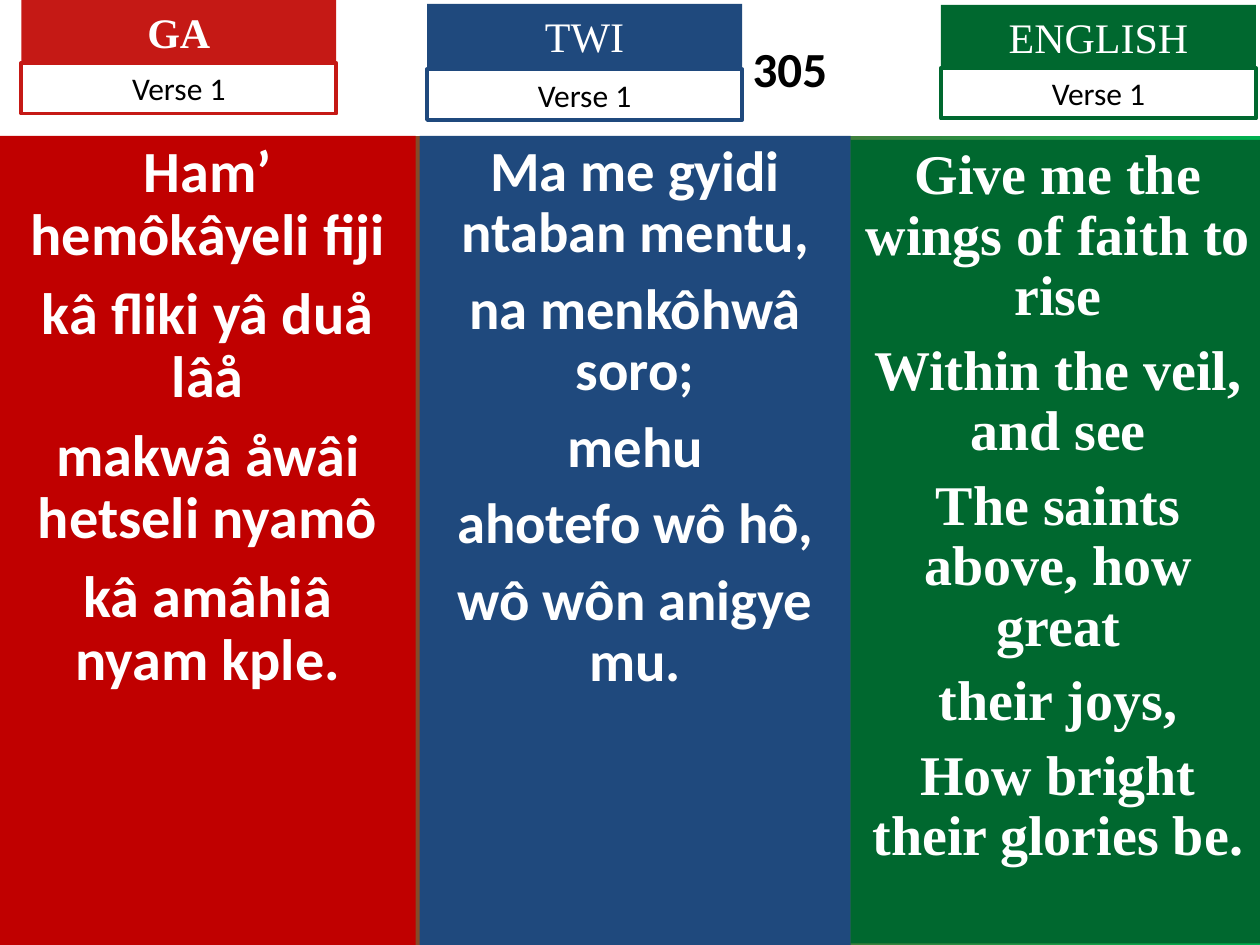
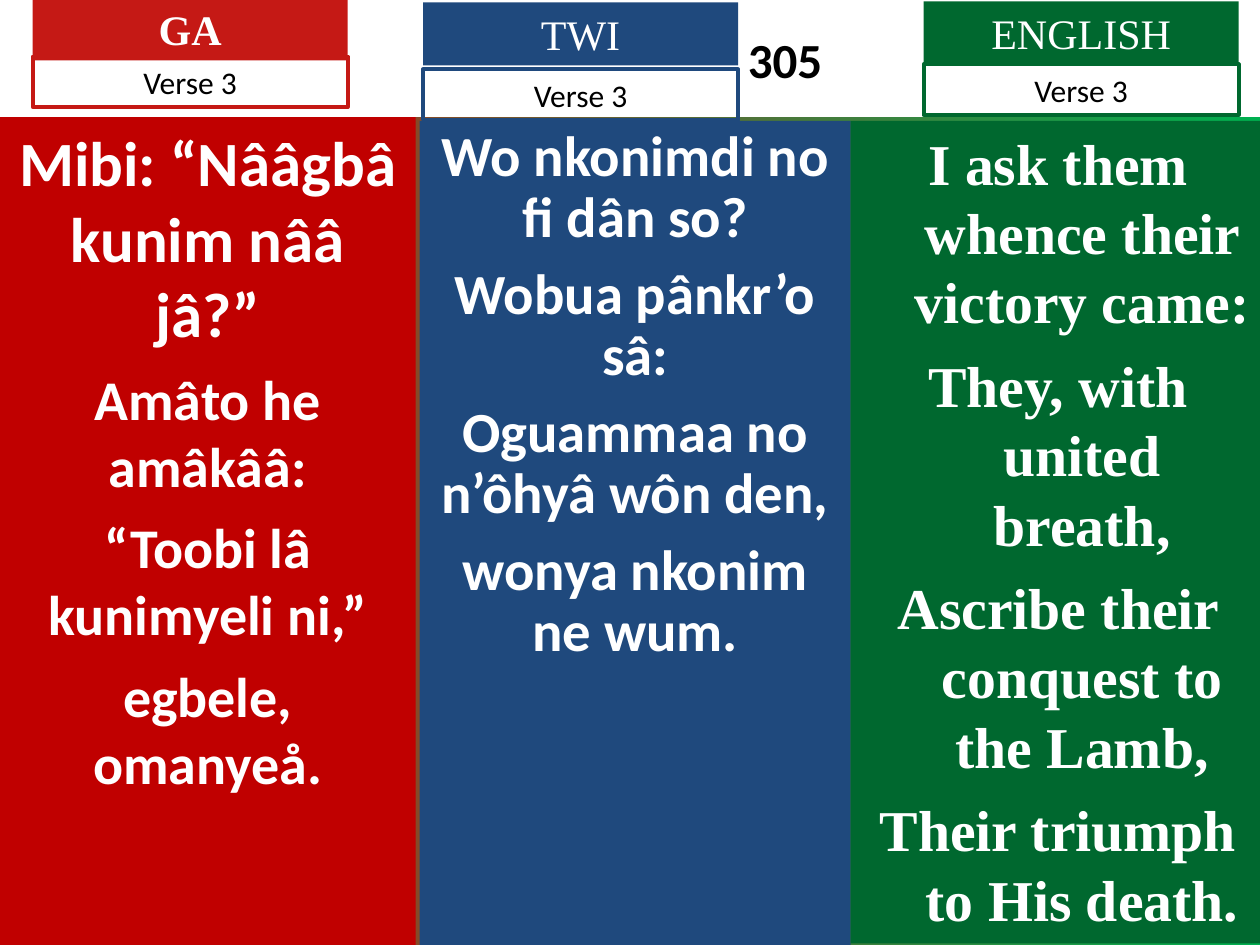
"""Build two hymn slides with the verse side by side in Ga, Twi and English."""
from dataclasses import dataclass

from pptx import Presentation
from pptx.dml.color import RGBColor
from pptx.enum.shapes import MSO_SHAPE
from pptx.enum.text import MSO_ANCHOR, MSO_AUTO_SIZE, PP_ALIGN
from pptx.util import Cm, Pt


@dataclass(frozen=True)
class Theme:
    sans: str = "Calibri"
    serif: str = "Times New Roman"
    white: str = "FFFFFF"
    black: str = "000000"
    red: str = "C51915"
    deep_red: str = "C00000"
    blue: str = "1F497D"
    green: str = "00682F"
    bright_green: str = "00B050"
    number_size: float = 28
    label_size: float = 24
    verse_size: float = 18
    border: float = 2.25


THEME = Theme()
SLIDE_WIDTH, SLIDE_HEIGHT = 25.4, 19.05
TAG_WIDTH, LABEL_HEIGHT, VERSE_HEIGHT = 6.35, 1.27, 1.02
SIDE_INSET, TOP_INSET = 0.25, 0.13
HYMN_NUMBER = "305"

LANGUAGES = [
    {"label": "GA", "bold": True, "tag": THEME.red, "panel": THEME.deep_red,
     "font": THEME.sans, "left": 0, "width": 8.38, "bottom": SLIDE_HEIGHT},
    {"label": "TWI", "bold": False, "tag": THEME.blue, "panel": THEME.blue,
     "font": THEME.sans, "left": 8.46, "width": 8.69, "bottom": SLIDE_HEIGHT},
    {"label": "ENGLISH", "bold": False, "tag": THEME.green, "panel": THEME.green,
     "font": THEME.serif, "left": 17.15, "width": 8.36, "bottom": 19.02},
]

VERSES = [
    {"name": "Verse 1", "header": 2.74, "number_inset": 6.7, "columns": [
        {"top": 2.74, "tag_left": 0.43, "label_top": 0, "verse_top": 1.27,
         "sizes": [33.3], "before": 9, "leading": 0.9,
         "lines": ["Ham’ hemôkâyeli fiji", "kâ fliki yâ duå lâå",
                   "makwâ åwâi hetseli nyamô", "kâ amâhiâ nyam kple."]},
        {"top": 2.74, "tag_left": 8.61, "label_top": 0.08, "verse_top": 1.4,
         "sizes": [32.4], "before": 8.8, "leading": 0.9,
         "lines": ["Ma me gyidi ntaban mentu,", "na menkôhwâ soro;", "mehu",
                   "ahotefo wô hô,", "wô wôn anigye mu."]},
        {"top": 2.82, "tag_left": 18.97, "label_top": 0.1, "verse_top": 1.37,
         "sizes": [32], "before": 8, "leading": 0.9,
         "lines": ["Give me the wings of faith to rise", "Within the veil, and see",
                   "The saints above, how great", "their joys,",
                   "How bright their glories be."]},
    ]},
    {"name": "Verse 3", "header": 2.36, "number_inset": 6.5, "columns": [
        {"top": 2.36, "tag_left": 0.66, "label_top": -0.05, "verse_top": 1.14,
         "sizes": [36, 32], "before": 8, "leading": 1.0,
         "lines": ["Mibi: “Nââgbâ kunim nââ jâ?”", "Amâto he amâkââ:",
                   "“Toobi lâ kunimyeli ni,”", "egbele, omanyeå."]},
        {"top": 2.44, "tag_left": 8.53, "label_top": 0.05, "verse_top": 1.4,
         "sizes": [32.4], "before": 8.8, "leading": 0.9,
         "lines": ["Wo nkonimdi no fi dân so?", "Wobua pânkr’o sâ:",
                   "Oguammaa no n’ôhyâ wôn den,", "wonya nkonim ne wum."]},
        {"top": 2.44, "tag_left": 18.62, "label_top": 0.03, "verse_top": 1.3,
         "sizes": [33], "before": 8.2, "leading": 1.0, "hanging": 0.97,
         "lines": ["I ask them whence their victory came:",
                   "They, with united breath,",
                   "Ascribe their conquest to the Lamb,",
                   "Their triumph to His death."]},
    ]},
]


def apply_format(target, values):
    for name, value in values.items():
        setattr(target, name, value)


def add_box(page, left, top, width, height, fill=None, border=None, **frame_format):
    box = page.shapes.add_shape(
        MSO_SHAPE.RECTANGLE, Cm(left), Cm(top), Cm(width), Cm(height))
    box.shadow.inherit = False
    if fill:
        box.fill.solid()
        box.fill.fore_color.rgb = RGBColor.from_string(fill)
    else:
        box.fill.background()
    if border:
        box.line.color.rgb = RGBColor.from_string(border)
        box.line.width = Pt(THEME.border)
    else:
        box.line.fill.background()
    apply_format(box.text_frame, {
        "word_wrap": True, "vertical_anchor": MSO_ANCHOR.TOP,
        "margin_left": Cm(SIDE_INSET), "margin_right": Cm(SIDE_INSET),
        "margin_top": Cm(TOP_INSET), "margin_bottom": Cm(TOP_INSET),
        **frame_format})
    return box


def write(para, text, font, size, color, bold=False):
    para.alignment = PP_ALIGN.CENTER
    span = para.add_run()
    span.text = text
    apply_format(span.font, {"name": font, "size": Pt(size), "bold": bold})
    span.font.color.rgb = RGBColor.from_string(color)


def add_panel(page, language, column):
    box = add_box(page, language["left"], column["top"], language["width"],
                  language["bottom"] - column["top"], fill=language["panel"])
    frame = box.text_frame
    for index, line in enumerate(column["lines"]):
        para = frame.add_paragraph() if index else frame.paragraphs[0]
        apply_format(para, {"line_spacing": column["leading"],
                            "space_before": Pt(column["before"] if index else 0)})
        if "hanging" in column:
            properties = para._p.get_or_add_pPr()
            indent = int(Cm(column["hanging"]))
            properties.set("marL", str(indent))
            properties.set("indent", str(-indent))
        size = column["sizes"][min(index, len(column["sizes"]) - 1)]
        write(para, line, language["font"], size, THEME.white, bold=True)


def add_tag(page, language, column, verse_name):
    grow = {"auto_size": MSO_AUTO_SIZE.SHAPE_TO_FIT_TEXT}
    label = add_box(page, column["tag_left"], column["label_top"], TAG_WIDTH,
                    LABEL_HEIGHT, fill=language["tag"], **grow)
    write(label.text_frame.paragraphs[0], language["label"], THEME.serif,
          THEME.label_size, THEME.white, language["bold"])
    verse = add_box(page, column["tag_left"], column["verse_top"], TAG_WIDTH,
                    VERSE_HEIGHT, border=language["tag"], **grow)
    write(verse.text_frame.paragraphs[0], verse_name, THEME.sans,
          THEME.verse_size, THEME.black)


def add_page(deck, verse):
    page = deck.slides.add_slide(deck.slide_layouts[6])
    backdrop = page.background.fill
    backdrop.gradient()
    backdrop.gradient_angle = 0
    for stop, color in zip(backdrop.gradient_stops, (THEME.red, THEME.bright_green)):
        stop.color.rgb = RGBColor.from_string(color)
    header = add_box(page, 0, 0, SLIDE_WIDTH, verse["header"], fill=THEME.white,
                     vertical_anchor=MSO_ANCHOR.MIDDLE,
                     margin_left=Cm(verse["number_inset"]))
    write(header.text_frame.paragraphs[0], HYMN_NUMBER, THEME.sans,
          THEME.number_size, THEME.black, bold=True)
    for language, column in zip(LANGUAGES, verse["columns"]):
        add_panel(page, language, column)
        add_tag(page, language, column, verse["name"])


def main():
    deck = Presentation()
    apply_format(deck, {"slide_width": Cm(SLIDE_WIDTH), "slide_height": Cm(SLIDE_HEIGHT)})
    for verse in VERSES:
        add_page(deck, verse)
    deck.save("out.pptx")


if __name__ == "__main__":
    main()
